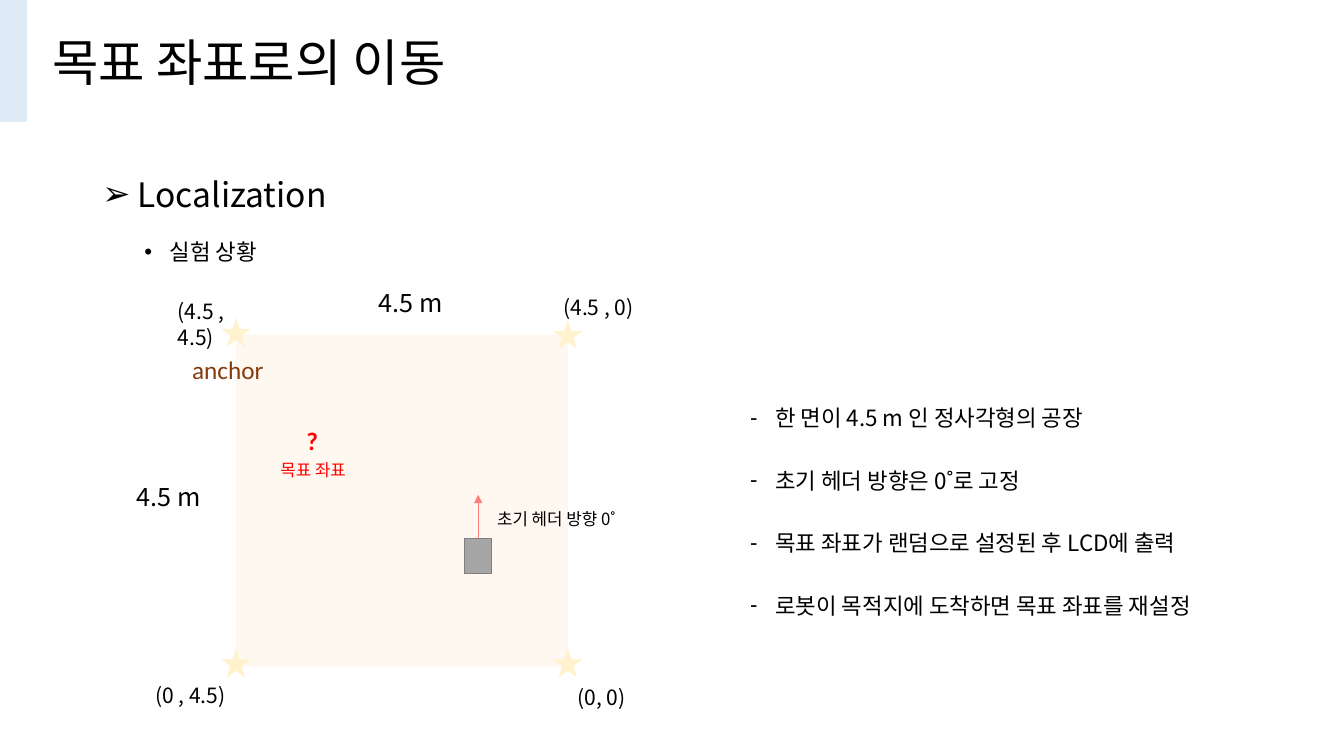
"""Builds the slide on moving a robot to its target coordinate."""
from dataclasses import dataclass

from lxml.etree import SubElement
from pptx import Presentation
from pptx.dml.color import RGBColor
from pptx.enum.shapes import MSO_CONNECTOR, MSO_SHAPE
from pptx.enum.text import MSO_ANCHOR, MSO_AUTO_SIZE, PP_ALIGN
from pptx.oxml.ns import qn
from pptx.util import Emu, Inches, Pt

COLS, ROWS = 160, 90
UNIT = Inches(1) / 12


@dataclass(frozen=True)
class Theme:
    """Colours, fonts, type sizes and line heights of the slide."""
    ink: str = "000000"
    sidebar: str = "DEEBF7"
    field: str = "FFF2E5"
    star: str = "FFF2CC"
    robot: str = "A6A6A6"
    robot_edge: str = "808080"
    anchor: str = "843C0B"
    target: str = "FF0000"
    sans: str = "Noto Sans CJK KR"
    latin: str = "Calibri"
    title: int = 36
    heading: int = 24
    body: int = 16
    large: int = 18
    coord: int = 15
    small: int = 12
    tight: float = 1.1
    loose: float = 1.25


T = Theme()


@dataclass(frozen=True)
class Box:
    """A rectangle in grid columns and rows."""
    col: float
    row: float
    width: float
    height: float

    def emu(self) -> tuple[Emu, ...]:
        """Return left, top, width and height as lengths."""
        return tuple(map(grid, (self.col, self.row, self.width, self.height)))


@dataclass(frozen=True)
class Label:
    """A line of text on the diagram."""
    text: str
    box: Box
    size: int
    font: str = T.sans
    color: str = T.ink
    bold: bool = False


@dataclass(frozen=True)
class Item:
    """A bulleted list entry; indents are in columns."""
    text: str
    bullet: str
    size: int
    margin: float
    hang: float
    before: int = 0


FIELD = Box(28.1, 39.85, 39.5, 39.5)
ROBOT = Box(55.3, 64.1, 3.25, 4.2)
HEADER_TIP = 58.9
STAR = 3.5
LEFT, RIGHT = FIELD.col, FIELD.col + FIELD.width
STARS = [(LEFT, 39.55), (RIGHT, 39.8), (LEFT, 78.9), (RIGHT, 78.9)]
LABELS = [
    Label("4.5 m", Box(43.9, 33.5, 14.6, 4.8), T.large),
    Label("4.5 m", Box(15.1, 56.6, 14.6, 4.8), T.large),
    Label("anchor", Box(21.7, 41.5, 11, 4.8), T.large, T.latin, T.anchor),
    Label("(0, 0)", Box(67.6, 80.8, 9.4, 4.2), T.coord),
    Label("(4.5 , 0)", Box(65.9, 34.3, 12.7, 4.2), T.coord),
    Label("(0 , 4.5)", Box(17.3, 80.5, 12.7, 4.2), T.coord),
    Label("(4.5 , 4.5)", Box(20, 34.8, 12.7, 4.2), T.coord),
    Label("초기 헤더 방향 0˚", Box(58, 59.9, 24.2, 3.6), T.small),
    Label("?", Box(35.3, 49.9, 4.4, 4.8), T.large, T.latin, T.target, True),
    Label("목표 좌표", Box(32.2, 54.1, 11.2, 3.6), T.small, T.latin, T.target),
]
OUTLINE = [
    Item("Localization", "➢", T.heading, 4.2, 4.2),
    Item("실험 상황", "•", T.body, 8, 3, 19),
]
RULES = [Item(text, "-", T.body, 9, 3, 27 if i else 0) for i, text in enumerate([
    "한 면이 4.5 m 인 정사각형의 공장",
    "초기 헤더 방향은 0˚로 고정",
    "목표 좌표가 랜덤으로 설정된 후 LCD에 출력",
    "로봇이 목적지에 도착하면 목표 좌표를 재설정",
])]


def grid(units: float) -> Emu:
    """Convert grid units to a length."""
    return Emu(round(units * UNIT))


def style(p, size: int, leading: float, font: str = T.sans,
          color: str = T.ink, bold: bool = False) -> None:
    """Format a whole paragraph."""
    p.alignment = PP_ALIGN.LEFT
    p.line_spacing = Pt(round(size * leading, 1))
    f = p.font
    f.size, f.name, f.bold = Pt(size), font, bold
    f.color.rgb = RGBColor.from_string(color)
    props = p._p.get_or_add_pPr().find(qn("a:defRPr"))
    SubElement(props, qn("a:ea"), typeface=T.sans)


def place(sp, box: Box):
    """Move a placeholder and return its wrapping text frame."""
    sp.left, sp.top, sp.width, sp.height = box.emu()
    tf = sp.text_frame
    tf.word_wrap, tf.auto_size = True, MSO_AUTO_SIZE.NONE
    return tf


def add_title(sp, text: str, box: Box) -> None:
    """Fill the title placeholder."""
    tf = place(sp, box)
    tf.vertical_anchor = MSO_ANCHOR.MIDDLE
    tf.text = text
    style(tf.paragraphs[0], T.title, T.tight)


def add_list(sp, items: list[Item], box: Box) -> None:
    """Fill a body placeholder with bulleted items."""
    tf = place(sp, box)
    tf.vertical_anchor = MSO_ANCHOR.TOP
    for i, item in enumerate(items):
        p = tf.add_paragraph() if i else tf.paragraphs[0]
        p.text = item.text
        props = p._p.get_or_add_pPr()
        props.set("marL", str(grid(item.margin)))
        props.set("indent", str(-grid(item.hang)))
        SubElement(props, qn("a:buChar"), char=item.bullet)
        p.space_before = Pt(item.before)
        style(p, item.size, T.tight)


def add_label(s, label: Label) -> None:
    """Draw a diagram label."""
    tf = s.shapes.add_textbox(*label.box.emu()).text_frame
    tf.word_wrap = True
    tf.text = label.text
    style(tf.paragraphs[0], label.size, T.loose, label.font, label.color, label.bold)


def add_block(s, box: Box, fill: str, edge: str = "", kind=MSO_SHAPE.RECTANGLE):
    """Draw a flat shape, outlined when an edge colour is given."""
    sp = s.shapes.add_shape(kind, *box.emu())
    sp.shadow.inherit = False
    sp.fill.solid()
    sp.fill.fore_color.rgb = RGBColor.from_string(fill)
    if edge:
        sp.line.color.rgb = RGBColor.from_string(edge)
        sp.line.width = Pt(1)
    else:
        sp.line.fill.background()
    return sp


def add_arrow(s, col: float, start: float, end: float):
    """Draw the header direction arrow."""
    arrow = s.shapes.add_connector(
        MSO_CONNECTOR.STRAIGHT, *map(grid, (col, start, col, end)))
    arrow.line.color.rgb = RGBColor.from_string(T.target)
    arrow.line.width = Pt(0.5)
    SubElement(arrow.line._get_or_add_ln(), qn("a:tailEnd"), type="triangle")
    SubElement(arrow._element.spPr, qn("a:effectLst"))
    return arrow


def main() -> None:
    """Build and save the slide."""
    prs = Presentation()
    prs.slide_width, prs.slide_height = grid(COLS), grid(ROWS)
    s = prs.slides.add_slide(prs.slide_layouts[3])
    arrow = add_arrow(s, ROBOT.col + ROBOT.width / 2, ROBOT.row, HEADER_TIP)
    add_block(s, Box(0, 0, 3.1, 14.5), T.sidebar, T.sidebar)
    field = add_block(s, FIELD, T.field)
    SubElement(field.fill._xPr.find(".//" + qn("a:srgbClr")), qn("a:alpha"), val="52000")
    for col, row in STARS:
        box = Box(col - STAR / 2, row - STAR / 2, STAR, STAR)
        add_block(s, box, T.star, kind=MSO_SHAPE.STAR_5_POINT)
    arrow.begin_connect(add_block(s, ROBOT, T.robot, T.robot_edge), 0)
    for label in LABELS:
        add_label(s, label)
    add_title(s.shapes.title, "목표 좌표로의 이동", Box(5, -1.1, 100, 17.4))
    add_list(s.placeholders[1], OUTLINE, Box(11, 20.5, 72, 12))
    add_list(s.placeholders[2], RULES, Box(82.1, 47.8, 72.6, 28))
    prs.save("out.pptx")


if __name__ == "__main__":
    main()
